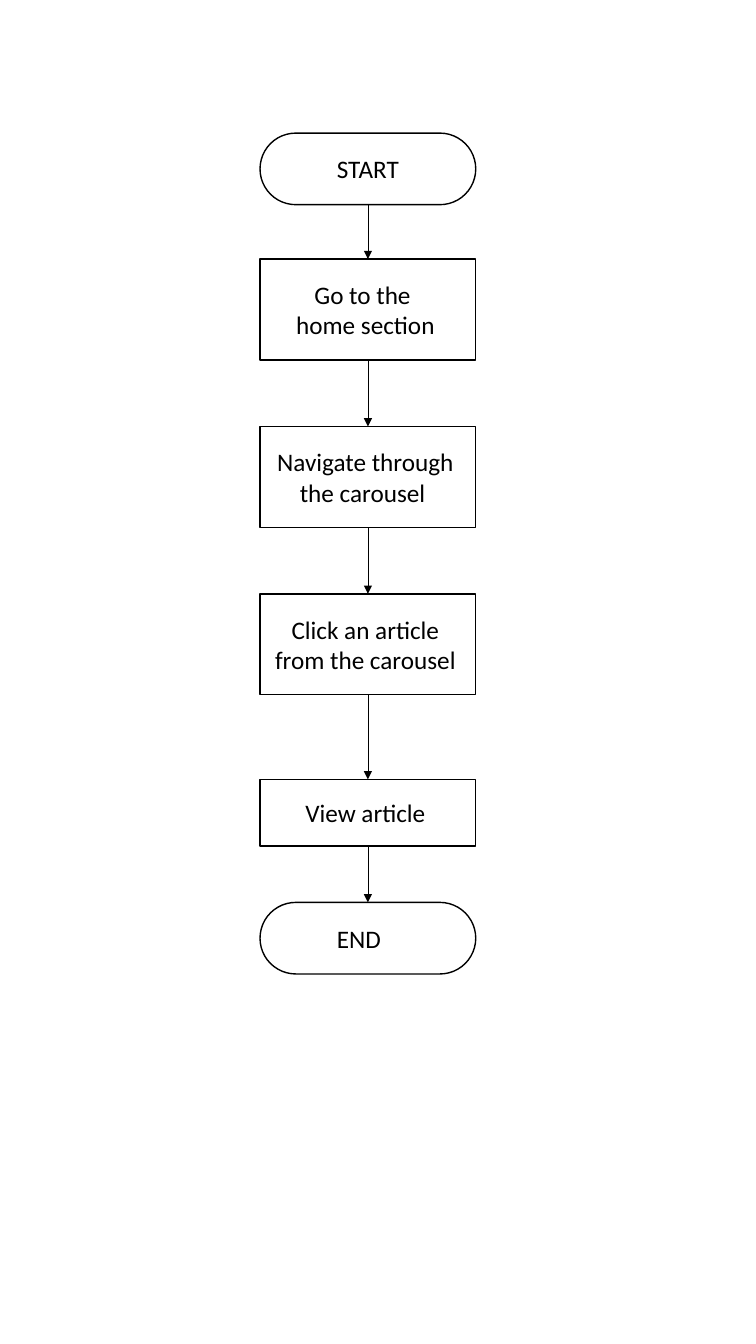
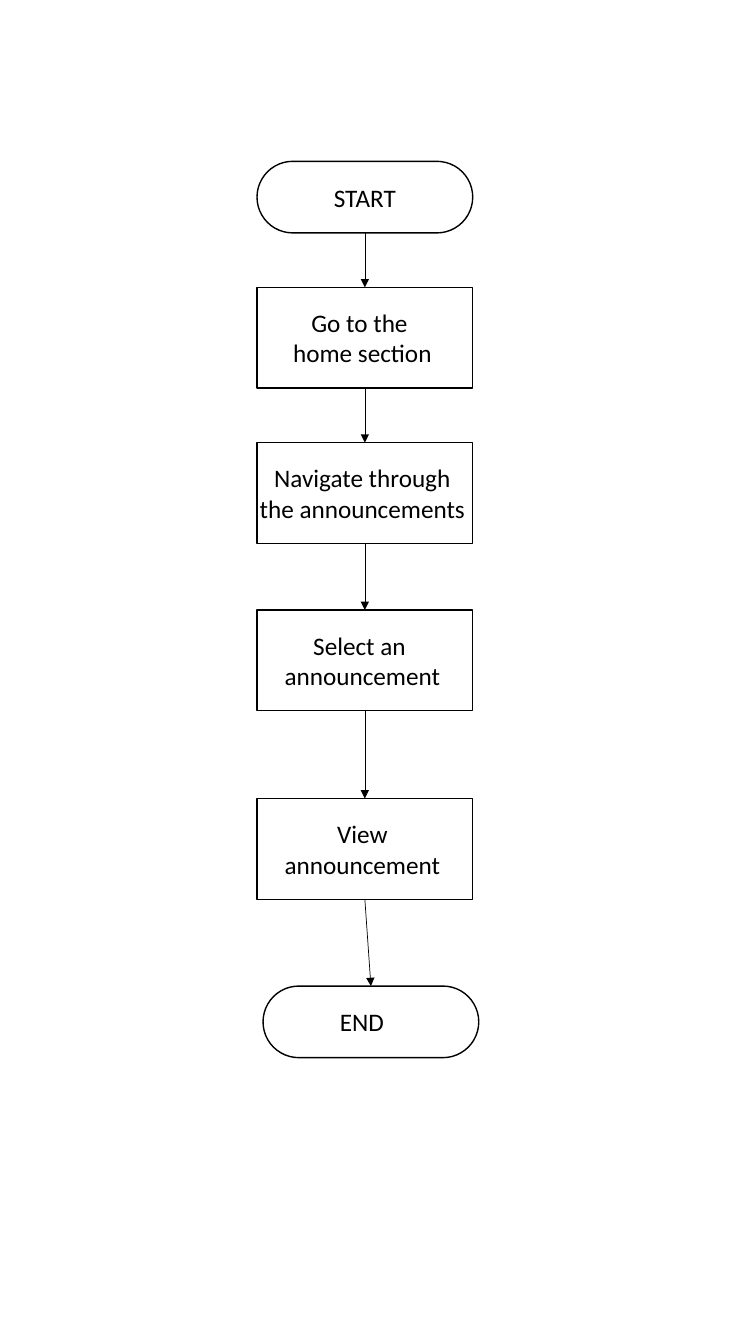
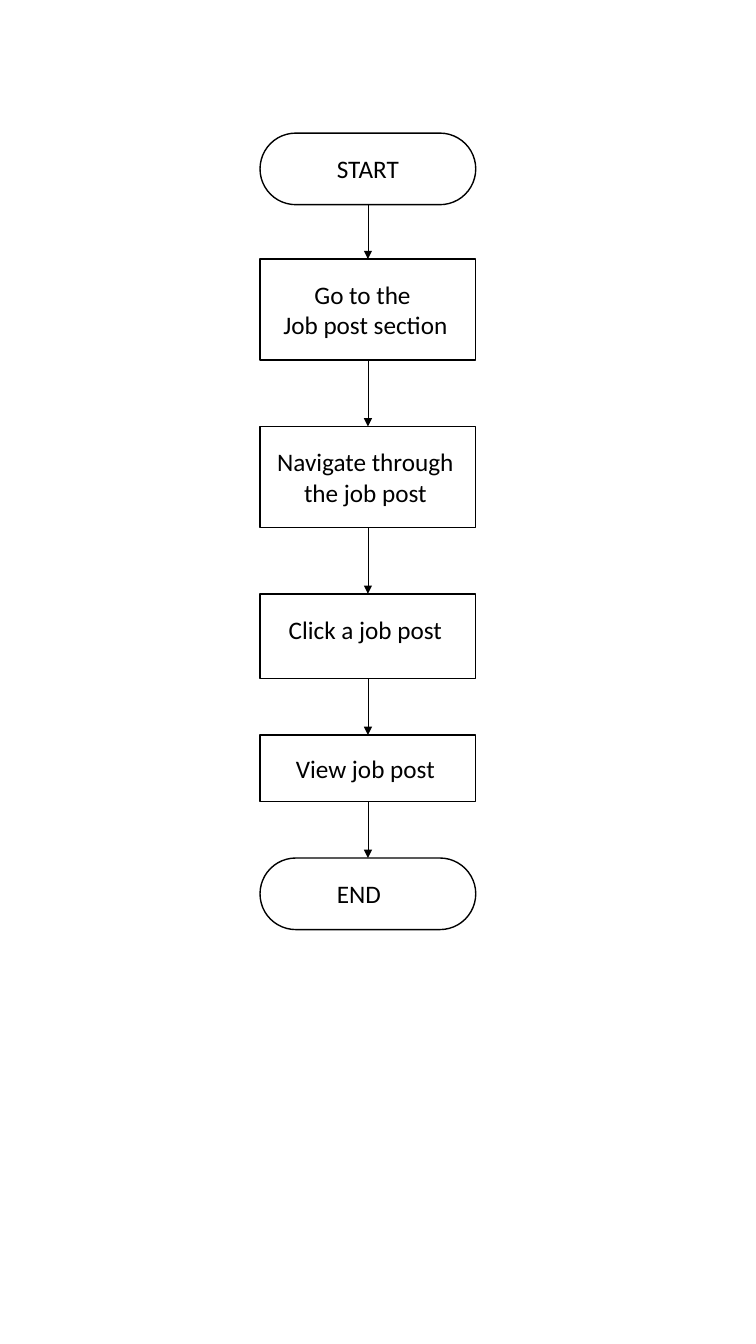
from lxml.etree import SubElement as Sub
from pptx import Presentation as Deck
from pptx.dml.color import RGBColor as Rgb
from pptx.enum.shapes import MSO_CONNECTOR as Link, MSO_SHAPE as Form
from pptx.enum.text import MSO_ANCHOR as Anchor, PP_ALIGN as Align
from pptx.oxml.ns import qn
from pptx.util import Inches, Pt

WIDE, HIGH = 7.5, 13.33
COLS = {"ink": "000000"}
INK = Rgb.from_string(COLS["ink"])
STEP = 2.14
FONT = {"name": "Calibri", "size": Pt(18)}
FRAME = {"word_wrap": False, "vertical_anchor": Anchor.MIDDLE}
KINDS = {
    "start": {"form": Form.ROUNDED_RECTANGLE, "high": 0.71},
    "end": {"form": Form.ROUNDED_RECTANGLE, "high": 0.71, "right": 0.18},
    "box": {"form": Form.RECTANGLE, "high": 1, "right": 0.05},
    "mid": {"form": Form.RECTANGLE, "high": 0.84, "right": 0.05, "foot": 0.14},
    "slim": {"form": Form.RECTANGLE, "high": 0.66, "right": 0.05},
}
FLOWS = [
    {"left": 2.58, "top": 1.32, "steps": [
        ("start", 0, ["START"]),
        ("box", 0.54, ["Go to the ", "home section"]),
        ("box", 0.66, ["Navigate through", "the carousel "]),
        ("box", 0.66, ["Click an article", "from the carousel"]),
        ("slim", 0.84, ["View article"]),
        ("end", 0.56, ["END"]),
    ]},
    {"left": 2.55, "top": 1.6, "shift": 0.06, "steps": [
        ("start", 0, ["START"]),
        ("box", 0.54, ["Go to the ", "home section"]),
        ("box", 0.54, ["Navigate through", "the announcements"]),
        ("box", 0.66, ["Select an ", "announcement"]),
        ("box", 0.87, ["View", "announcement"]),
        ("end", 0.86, ["END"]),
    ]},
    {"left": 2.58, "top": 1.32, "steps": [
        ("start", 0, ["START"]),
        ("box", 0.54, ["Go to the ", "Job post section"]),
        ("box", 0.66, ["Navigate through", "the job post"]),
        ("mid", 0.66, ["Click a job post"]),
        ("slim", 0.56, ["View job post"]),
        ("end", 0.56, ["END"]),
    ]},
]


def apply(item, looks):
    for name, value in looks.items():
        setattr(item, name, value)


def ink(line, width):
    line.color.rgb = INK
    line.width = Pt(width)


def write(frame, lines, kind):
    apply(frame, FRAME)
    apply(frame, {
        "margin_left": 0,
        "margin_top": 0,
        "margin_right": Inches(kind.get("right", 0)),
        "margin_bottom": Inches(kind.get("foot", 0)),
    })
    for spot, text in enumerate(lines):
        para = frame.add_paragraph() if spot else frame.paragraphs[0]
        para.alignment = Align.CENTER
        run = para.add_run()
        run.text = text
        apply(run.font, FONT)
        run.font.color.rgb = INK


def node(slide, kind, left, top, lines):
    shape = slide.shapes.add_shape(
        kind["form"], *map(Inches, (left, top, STEP, kind["high"])))
    if kind["form"] == Form.ROUNDED_RECTANGLE:
        shape.adjustments[0] = 0.5
    shape.shadow.inherit = False
    shape.fill.background()
    ink(shape.line, 1)
    write(shape.text_frame, lines, kind)
    return shape


def arrow(slide, above, below):
    line = slide.shapes.add_connector(Link.STRAIGHT, 0, 0, 0, 0)
    line.begin_connect(above, 2)
    line.end_connect(below, 0)
    ink(line.line, 0.5)
    props = line.element.spPr
    Sub(props.find(qn("a:ln")), qn("a:tailEnd"), type="triangle")
    Sub(props, qn("a:effectLst"))


def flow(slide, plan):
    top, last = plan["top"], None
    for name, gap, lines in plan["steps"]:
        kind = KINDS[name]
        top += gap
        left = plan["left"] + (plan.get("shift", 0) if name == "end" else 0)
        shape = node(slide, kind, left, top, lines)
        if last is not None:
            arrow(slide, last, shape)
        top += kind["high"]
        last = shape


def main():
    deck = Deck()
    apply(deck, {"slide_width": Inches(WIDE), "slide_height": Inches(HIGH)})
    for plan in FLOWS:
        flow(deck.slides.add_slide(deck.slide_layouts[6]), plan)
    deck.save("out.pptx")


if __name__ == "__main__":
    main()
